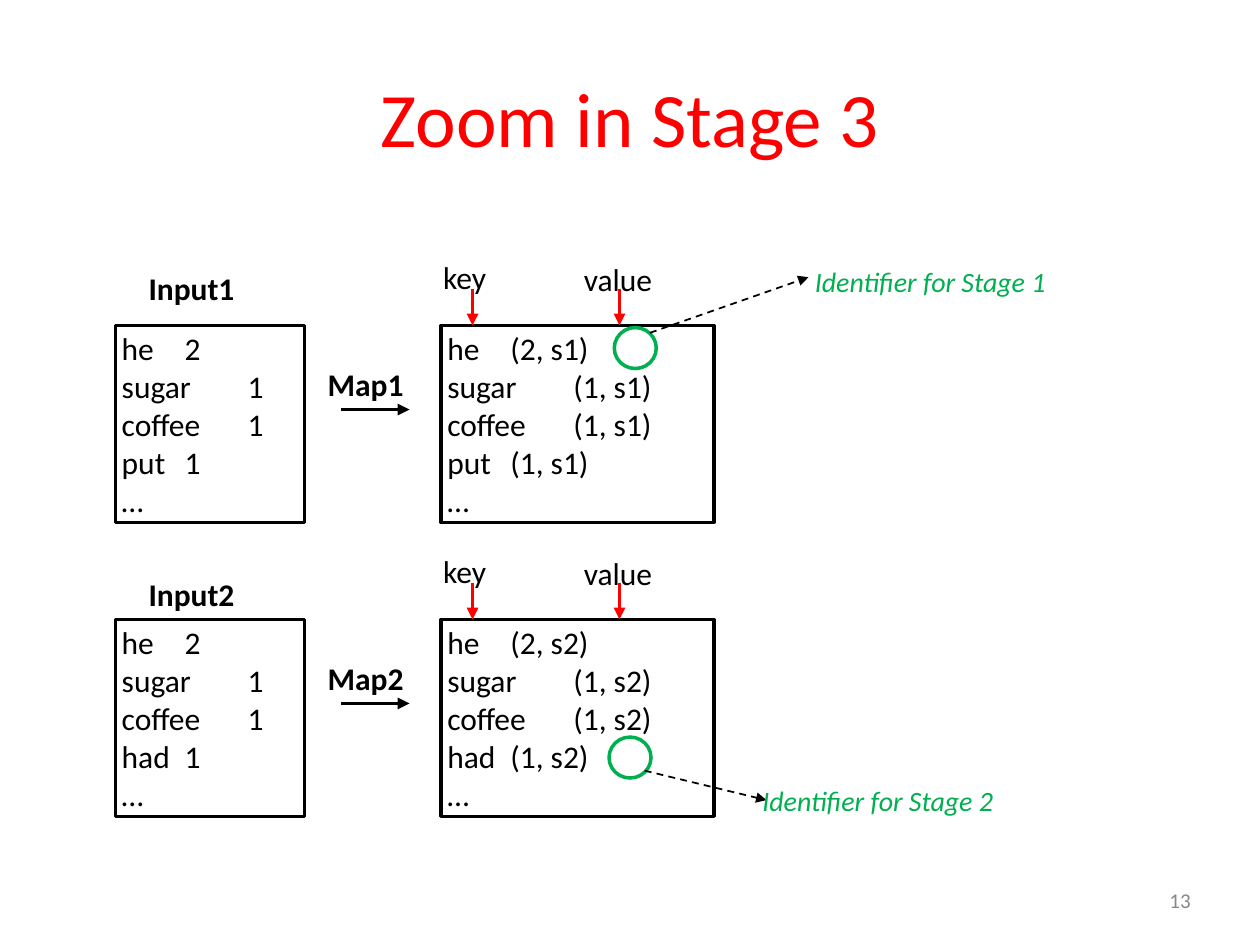
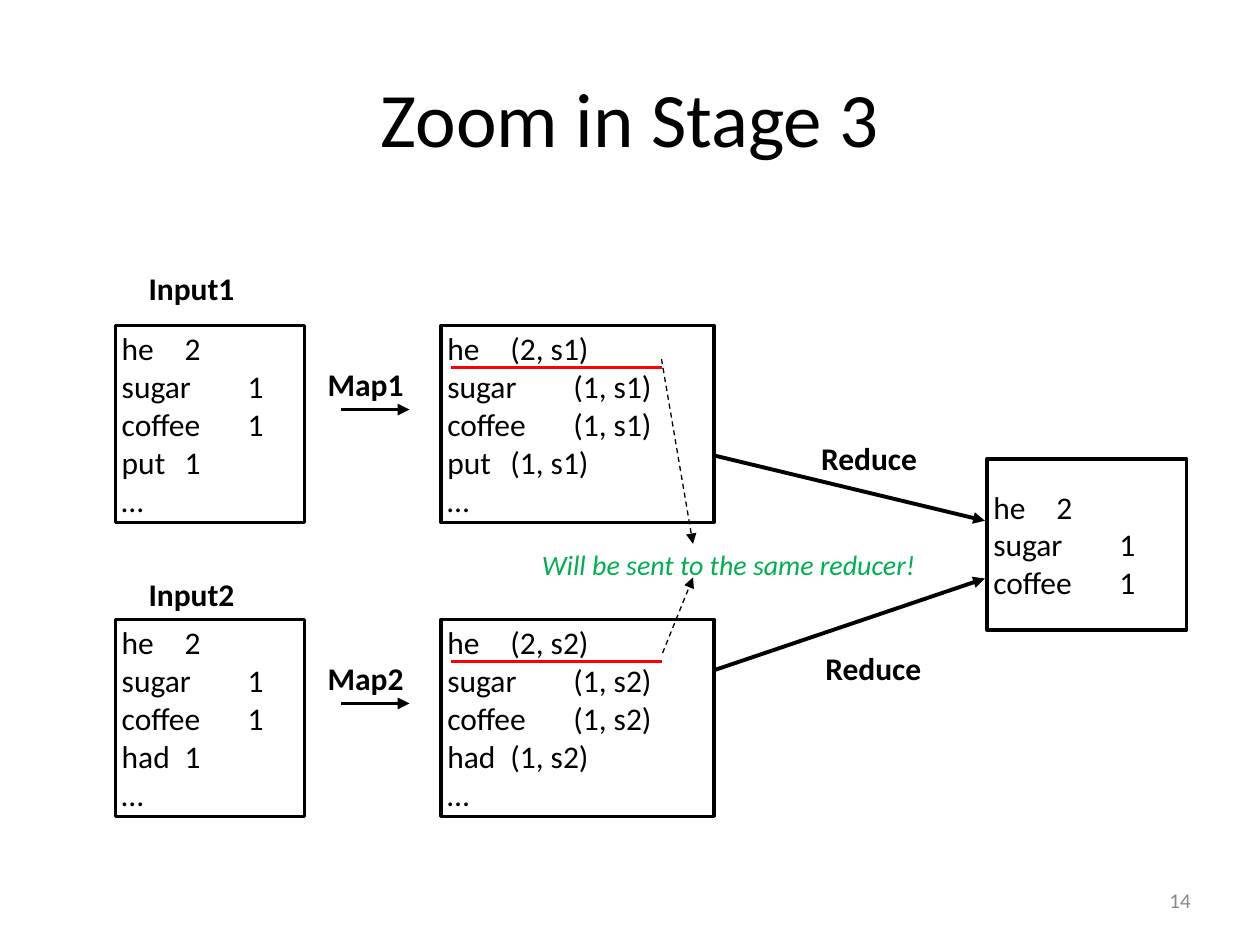
from dataclasses import dataclass
from typing import NamedTuple

from lxml.etree import SubElement as sub
from pptx import Presentation
from pptx.dml.color import RGBColor as Rgb
from pptx.enum.dml import MSO_LINE_DASH_STYLE as Dash
from pptx.enum.shapes import MSO_CONNECTOR as Conn, MSO_SHAPE as Form
from pptx.enum.text import MSO_ANCHOR as Anchor, PP_ALIGN as Align
from pptx.oxml.ns import qn
from pptx.util import Inches, Length, Pt


@dataclass(frozen=True)
class Theme:
    font: str = "Calibri"
    black: str = "000000"
    red: str = "FF0000"
    green: str = "00B050"
    grey: str = "888888"
    title: float = 44
    body: float = 18
    note: float = 16
    page: float = 12
    edge: float = 2
    arrow: float = 2.25
    dash: float = 1
    thin: float = 0.75


class Area(NamedTuple):
    x: float
    y: float
    w: float
    h: float


class Spot(NamedTuple):
    x: float
    y: float


class Flow(NamedTuple):
    num: int
    top: float    # top row of both boxes
    head: float   # top row of the input label
    words: tuple[tuple[str, int], ...]


class Mark(NamedTuple):
    text: str
    ring: Spot
    start: Spot
    end: Spot
    label: Spot


class Send(NamedTuple):
    start: Spot
    end: Spot
    label: Spot


LOOK = Theme()
WIDE, HIGH = Inches(10), Inches(7.5)
COLS, ROWS = 120, 90  # square cells, twelve to the inch
IN_X, IN_W = 11, 18
OUT_X, OUT_W = 42, 26
BOX_H = 18.75
MORE = "…"

SHARED = (("he", 2), ("sugar", 1), ("coffee", 1))
FLOWS = (
    Flow(1, 31, 25, SHARED + (("put", 1),)),
    Flow(2, 59, 54.15, SHARED + (("had", 1),)),
)
MARKS = (
    Mark("Identifier for Stage 1", Spot(58.5, 31.2), Spot(61.9, 31.7),
         Spot(77, 26.4), Spot(77, 24.6)),
    Mark("Identifier for Stage 2", Spot(58, 70.2), Spot(61.4, 73.4),
         Spot(73, 76.2), Spot(72, 74)),
)
SENDS = (
    Send(Spot(68.1, 43.4), Spot(93.8, 49.6), Spot(77.6, 41.2)),
    Send(Spot(68.1, 63.8), Spot(93.8, 55.1), Spot(78, 61.2)),
)


# Grid to slide lengths
def across(cols: float) -> Length:
    return Length(round(WIDE * cols / COLS))


def down(rows: float) -> Length:
    return Length(round(HIGH * rows / ROWS))


def frame(area: Area) -> tuple[Length, Length, Length, Length]:
    return across(area.x), down(area.y), across(area.w), down(area.h)


# Basic parts
def write(slide, text: str, area: Area, *, host=None, size: float = LOOK.body,
          color: str = LOOK.black, bold: bool = False, slant: bool = False,
          align=Align.LEFT, anchor=Anchor.TOP) -> None:
    """Put text in a new text box, or in the host shape if one is given."""
    shape = host or slide.shapes.add_textbox(*frame(area))
    body = shape.text_frame
    body.word_wrap = True
    body.vertical_anchor = anchor
    body.margin_left = body.margin_right = Inches(0.05)
    body.margin_top = body.margin_bottom = Inches(0.05)
    body.text = text
    for para in body.paragraphs:
        para.alignment = align
        for run in para.runs:
            font = run.font
            font.name, font.size = LOOK.font, Pt(size)
            font.bold, font.italic = bold, slant
            font.color.rgb = Rgb.from_string(color)


def outline(slide, form: Form, area: Area, color: str):
    shape = slide.shapes.add_shape(form, *frame(area))
    shape.shadow.inherit = False
    shape.fill.background()
    shape.line.color.rgb = Rgb.from_string(color)
    shape.line.width = Pt(LOOK.edge)
    return shape


def link(slide, start: Spot, end: Spot, *, color: str = LOOK.black,
         width: float = LOOK.arrow, dashed: bool = False,
         head: bool = True) -> None:
    line = slide.shapes.add_connector(
        Conn.STRAIGHT, across(start.x), down(start.y), across(end.x), down(end.y))
    line.line.color.rgb = Rgb.from_string(color)
    line.line.width = Pt(width)
    if dashed:
        line.line.dash_style = Dash.DASH
    if head:
        sub(line.line._get_or_add_ln(), qn("a:tailEnd"), type="triangle")
    sub(line._element.spPr, qn("a:effectLst"))


def listing(slide, area: Area, rows: list[str]) -> None:
    box = outline(slide, Form.RECTANGLE, area, LOOK.black)
    write(slide, "\n".join(rows), area, host=box, anchor=Anchor.MIDDLE)


def label(slide, text: str, at: Spot) -> None:
    write(slide, text, Area(*at, 12.4, 4.7), bold=True)


def note(slide, text: str, at: Spot, width: float = 26) -> None:
    write(slide, text, Area(*at, width, 7.6), size=LOOK.note,
          color=LOOK.green, slant=True)


# Parts of the diagram
def stage(slide, flow: Flow) -> None:
    """Draw an input list, its map arrow and the mapped list."""
    tag = f"s{flow.num}"
    listing(slide, Area(IN_X, flow.top, IN_W, BOX_H),
            [f"{word}\t{count}" for word, count in flow.words] + [MORE])
    listing(slide, Area(OUT_X, flow.top, OUT_W, BOX_H),
            [f"{word}\t({count}, {tag})" for word, count in flow.words] + [MORE])
    label(slide, f"Input{flow.num}", Spot(13.55, flow.head))
    label(slide, f"Map{flow.num}", Spot(30.6, flow.top + 3.2))
    level = flow.top + 8
    link(slide, Spot(32.5, level), Spot(39, level))


def pointers(slide, flow: Flow) -> None:
    """Name the key and value columns above the mapped list."""
    for text, left, lift, width, tip in (
            ("key", 41.6, 7, 8.4, 45), ("value", 55, 6.85, 11, 59)):
        write(slide, text, Area(left, flow.top - lift, width, 4.7))
        link(slide, Spot(tip, flow.top - 3.5), Spot(tip, flow.top),
             color=LOOK.red)


def mark(slide, item: Mark) -> None:
    outline(slide, Form.OVAL, Area(*item.ring, 4, 3.9), LOOK.green)
    link(slide, item.start, item.end, width=LOOK.dash, dashed=True)
    note(slide, item.text, item.label)


def reducer(slide) -> None:
    """Join both mapped lists in the reduced list."""
    listing(slide, Area(94, 43.7, 19, 16.3),
            [f"{word}\t{count}" for word, count in SHARED])
    for send in SENDS:
        link(slide, send.start, send.end)
        label(slide, "Reduce", send.label)


def shared_key(slide) -> None:
    """Underline the first pair of each list and point to the remark."""
    for flow in FLOWS:
        level = flow.top + 4
        link(slide, Spot(43, level), Spot(63, level), color=LOOK.red, head=False)
    for start, end in ((Spot(63, 34.2), Spot(66, 51.8)),
                       (Spot(63.1, 62.2), Spot(66, 55))):
        link(slide, start, end, width=LOOK.thin, dashed=True)
    note(slide, "Will be sent to the same reducer!", Spot(51, 51.6), 39)


# Slides
def base(deck, page: int, color: str):
    """Start a slide with the title, page number and both map flows."""
    slide = deck.slides.add_slide(deck.slide_layouts[6])
    write(slide, "Zoom in Stage 3", Area(6, 3.6, 108, 15), size=LOOK.title,
          color=color, align=Align.CENTER, anchor=Anchor.MIDDLE)
    write(slide, str(page), Area(110.5, 84, 3.5, 3.5), size=LOOK.page,
          color=LOOK.grey, align=Align.RIGHT, anchor=Anchor.MIDDLE)
    for flow in FLOWS:
        stage(slide, flow)
    return slide


def main() -> None:
    deck = Presentation()
    deck.slide_width, deck.slide_height = WIDE, HIGH

    # Mapped pairs carry the stage they came from
    slide = base(deck, 13, LOOK.red)
    for flow in FLOWS:
        pointers(slide, flow)
    for item in MARKS:
        mark(slide, item)

    # Equal keys meet in one reducer
    slide = base(deck, 14, LOOK.black)
    reducer(slide)
    shared_key(slide)

    deck.save("out.pptx")


if __name__ == "__main__":
    main()
